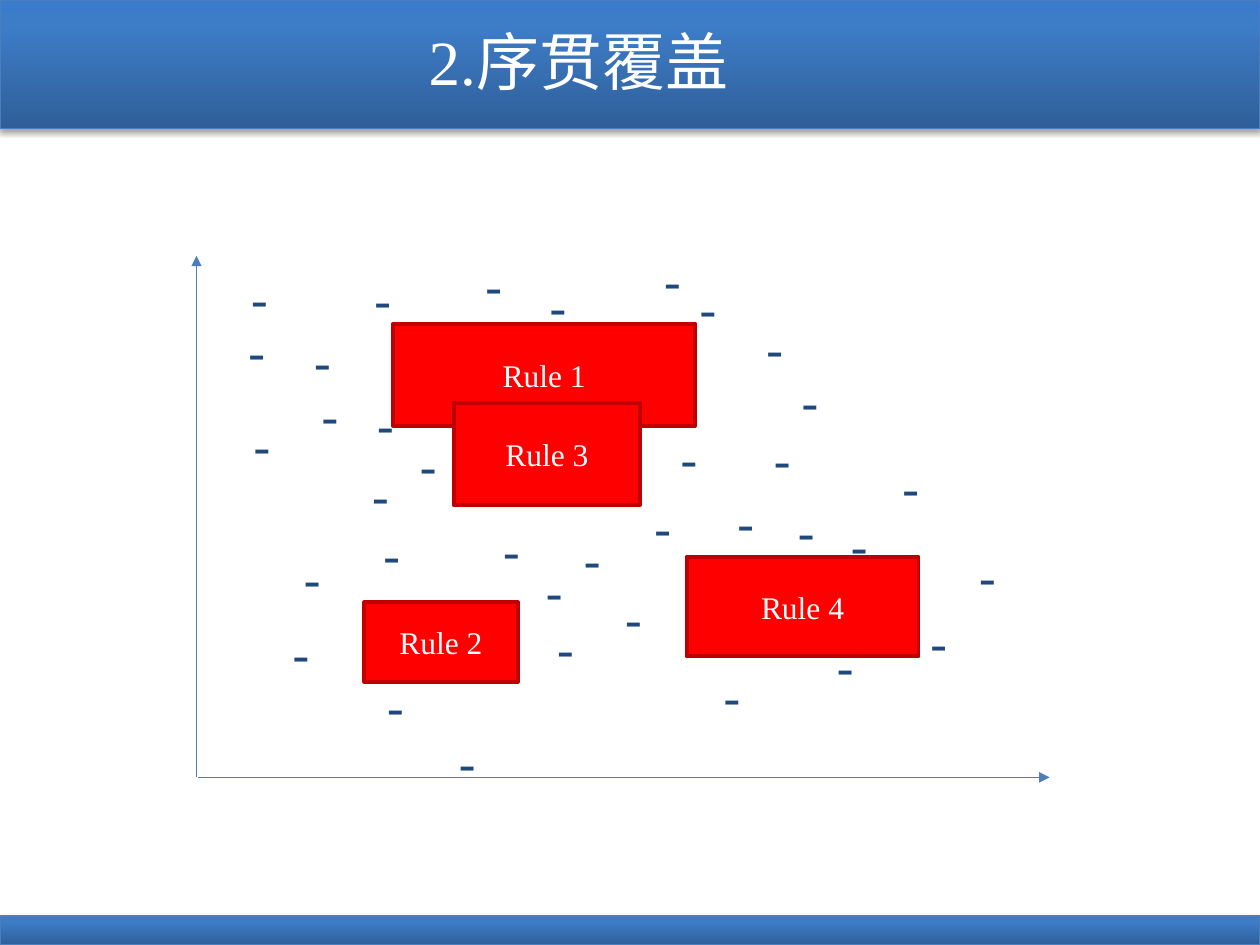
import pptx
import pptx.util
import pptx.dml.color
import pptx.enum.shapes
import pptx.enum.text
import pptx.oxml
import pptx.oxml.ns

Pt = pptx.util.Pt
RGB = pptx.dml.color.RGBColor
ALIGN = pptx.enum.text.PP_ALIGN
ANCHOR = pptx.enum.text.MSO_ANCHOR
RECT = pptx.enum.shapes.MSO_SHAPE.RECTANGLE
STRAIGHT = pptx.enum.shapes.MSO_CONNECTOR.STRAIGHT

WHITE = RGB(0xFF, 0xFF, 0xFF)
BLUE = RGB(0x4B, 0x7E, 0xBC)
NAVY = RGB(0x1F, 0x49, 0x7D)
RED = RGB(0xFF, 0x00, 0x00)
DARK_RED = RGB(0xC0, 0x00, 0x00)
BAR_STOPS = [(0, RGB(0x2F, 0x5F, 0x99)), (80, RGB(0x3D, 0x7C, 0xC7)),
             (100, RGB(0x3A, 0x7C, 0xCB))]
SERIF, SANS = "Times New Roman", "DejaVu Sans"

# Content, in points
TITLE = "2.序贯覆盖"
TITLE_BOX = (20.2, 3.6, 620.6, 61.2)
BARS = [(0, 0, 720, 73.4), (0, 523.4, 720, 16.6)]
AXES = [(112.3, 444.2, 112.3, 146.2), (113, 444.2, 599.8, 444.2)]
RULES = [  # label, left, top, width, height
    ("Rule 1", 224.6, 185, 172.8, 58.3),
    ("Rule 2", 208.1, 344.2, 87.8, 45.4),
    ("Rule 4", 392.4, 318.2, 132.5, 56.9),
    ("Rule 3", 259.2, 230.4, 106.6, 58.3),
]
NEGATIVE_SIZE = (28.1, 41)
NEGATIVES = [  # left, top
    (254.9, 415.4), (136.1, 150.5), (134.6, 180.7), (176.4, 217.4),
    (172.1, 186.5), (450.7, 209.5), (137.5, 234.7), (208.1, 222.5),
    (205.2, 262.8), (232.6, 246.2), (166.3, 310.3), (211.7, 296.6),
    (159.8, 353.5), (280.1, 294.5), (326.2, 299.5), (304.6, 318.2),
    (381.6, 241.9), (311, 350.6), (414, 278.6), (349.9, 333.4),
    (508.3, 258.5), (434.9, 242.6), (366.5, 281.5), (478.8, 291.6),
    (406.1, 378), (470.9, 360.7), (213.8, 383.8), (430.6, 179.3),
    (448.6, 283.7), (270, 143.3), (306.7, 154.8), (206.6, 151.2),
    (372.2, 140.4), (392.4, 156.2), (552.2, 309.6), (524.2, 347),
]


def points(values):
    return [Pt(v) for v in values]


def add_xml(parent, xml):
    head, rest = xml.split(">", 1) if xml[-2:] != "/>" else (xml[:-2], "/")
    ns = pptx.oxml.ns.nsdecls("a")
    end = "/>" if rest == "/" else ">" + rest
    el = pptx.oxml.parse_xml(f"{head} {ns}{end}")
    parent.append(el)
    return el


def set_text(sp, text, size, font, color, align):
    tf = sp.text_frame
    tf.text = text
    p = tf.paragraphs[0]
    p.alignment = align
    r = p.runs[0]
    r.font.size, r.font.name = Pt(size), font
    r.font.color.rgb = color
    return tf


def add_rect(s, box, line, width):
    sp = s.shapes.add_shape(RECT, *points(box))
    sp.line.color.rgb = line
    sp.line.width = Pt(width)
    sp.shadow.inherit = False
    return sp


def add_bar(s, box):
    sp = add_rect(s, box, BLUE, 0.75)
    stops = "".join(f'<a:gs pos="{pos * 1000}"><a:srgbClr val="{color}"/></a:gs>'
                    for pos, color in BAR_STOPS)
    fill = add_xml(sp._element.spPr, f"<a:gradFill><a:gsLst>{stops}</a:gsLst>"
                   '<a:lin ang="16200000" scaled="0"/></a:gradFill>')
    sp._element.spPr.find(pptx.oxml.ns.qn("a:ln")).addprevious(fill)
    effects = sp._element.spPr.find(pptx.oxml.ns.qn("a:effectLst"))
    add_xml(effects, f'<a:outerShdw blurRad="{Pt(3.1)}" dist="{Pt(1.8)}" '
            'dir="5400000" rotWithShape="0"><a:srgbClr val="000000">'
            '<a:alpha val="35000"/></a:srgbClr></a:outerShdw>')


def add_axis(s, ends):
    line = s.shapes.add_connector(STRAIGHT, *points(ends))
    line.line.color.rgb = BLUE
    line.line.width = Pt(0.75)
    add_xml(line.line._get_or_add_ln(), '<a:tailEnd type="triangle"/>')
    add_xml(line._element.spPr, "<a:effectLst/>")


def main():
    prs = pptx.Presentation()
    prs.slide_width, prs.slide_height = Pt(720), Pt(540)
    s = prs.slides.add_slide(prs.slide_layouts[6])

    # Header and footer bars, title
    for box in BARS:
        add_bar(s, box)
    title = s.shapes.add_textbox(*points(TITLE_BOX))
    tf = set_text(title, TITLE, 36, SERIF, WHITE, ALIGN.CENTER)
    tf.word_wrap = True
    tf.vertical_anchor = ANCHOR.MIDDLE

    # Axes
    for ends in AXES:
        add_axis(s, ends)

    # Negative examples
    for pos in NEGATIVES:
        sp = s.shapes.add_textbox(*points(pos + NEGATIVE_SIZE))
        set_text(sp, "-", 28, SANS, NAVY, ALIGN.LEFT)

    # Rule regions
    for label, *box in RULES:
        sp = add_rect(s, box, DARK_RED, 2.25)
        sp.fill.solid()
        sp.fill.fore_color.rgb = RED
        tf = set_text(sp, label, 18, SERIF, WHITE, ALIGN.CENTER)
        tf.vertical_anchor = ANCHOR.MIDDLE

    prs.save("out.pptx")


if __name__ == "__main__":
    main()
